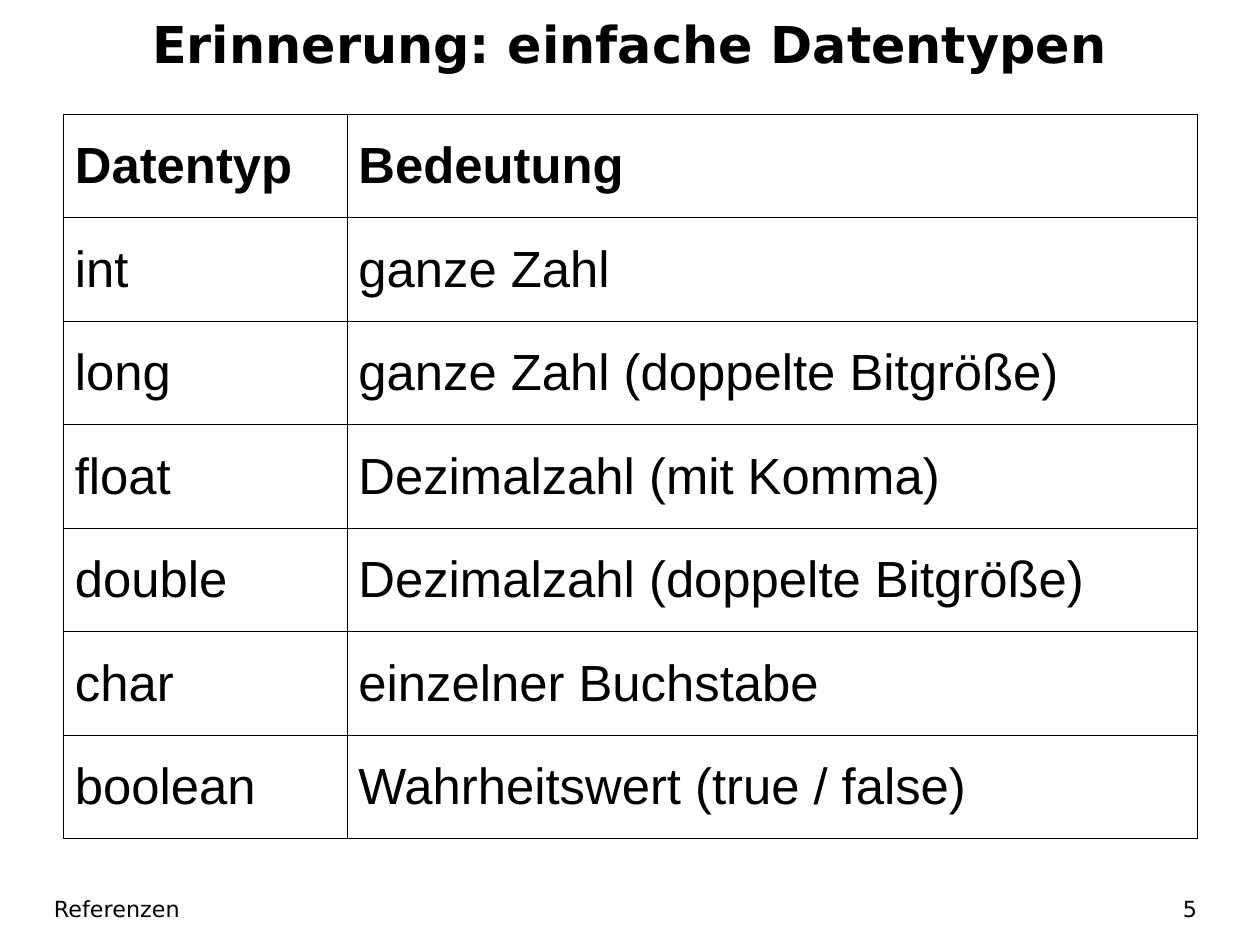
from lxml.etree import SubElement
from pptx import Presentation
from pptx.dml.color import RGBColor
from pptx.enum.text import MSO_ANCHOR, PP_ALIGN
from pptx.oxml.ns import qn
from pptx.util import Cm, Pt

BLACK = "000000"


def style(p, size, name, bold=False, align=PP_ALIGN.LEFT):
    p.alignment = align
    p.font.size = Pt(size)
    p.font.name = name
    p.font.bold = bold
    p.font.color.rgb = RGBColor.from_string(BLACK)


prs = Presentation()
prs.slide_width, prs.slide_height = Cm(28), Cm(21)
s = prs.slides.add_slide(prs.slide_layouts[6])

labels = [
    ("Erinnerung: einfache Datentypen", 0, 0.1, 28, 1.7, 32, True, PP_ALIGN.CENTER),
    ("Referenzen", 1.2, 19.8, 17.25, 0.8, 14, False, PP_ALIGN.LEFT),
    ("5", 20.07, 19.8, 6.53, 0.8, 14, False, PP_ALIGN.RIGHT),
]
for text, left, top, width, height, size, bold, align in labels:
    sp = s.shapes.add_textbox(Cm(left), Cm(top), Cm(width), Cm(height))
    tf = sp.text_frame
    tf.word_wrap = True
    tf.vertical_anchor = MSO_ANCHOR.MIDDLE
    tf.margin_left = tf.margin_right = tf.margin_top = tf.margin_bottom = 0
    p = tf.paragraphs[0]
    p.text = text
    style(p, size, "DejaVu Sans", bold, align)

datatypes = [
    ("Datentyp", "Bedeutung"),
    ("int", "ganze Zahl"),
    ("long", "ganze Zahl (doppelte Bitgröße)"),
    ("float", "Dezimalzahl (mit Komma)"),
    ("double", "Dezimalzahl (doppelte Bitgröße)"),
    ("char", "einzelner Buchstabe"),
    ("boolean", "Wahrheitswert (true / false)"),
]
width, height = Cm(25.2), Cm(16.1)
table = s.shapes.add_table(len(datatypes), 2, Cm(1.41), Cm(2.54), width, height).table
table.first_row = table.horz_banding = False
table.columns[0].width = width // 4
table.columns[1].width = width * 3 // 4

for i, row in enumerate(datatypes):
    for j, text in enumerate(row):
        cell = table.cell(i, j)
        cell.vertical_anchor = MSO_ANCHOR.MIDDLE
        p = cell.text_frame.paragraphs[0]
        p.text = text
        style(p, 32, "Arial", bold=i == 0)
        tcPr = cell._tc.get_or_add_tcPr()
        for side in ("lnL", "lnR", "lnT", "lnB"):
            ln = SubElement(tcPr, qn(f"a:{side}"), w=str(Pt(0.57)))
            SubElement(SubElement(ln, qn("a:solidFill")), qn("a:srgbClr"), val=BLACK)
        cell.fill.background()

prs.save("out.pptx")
